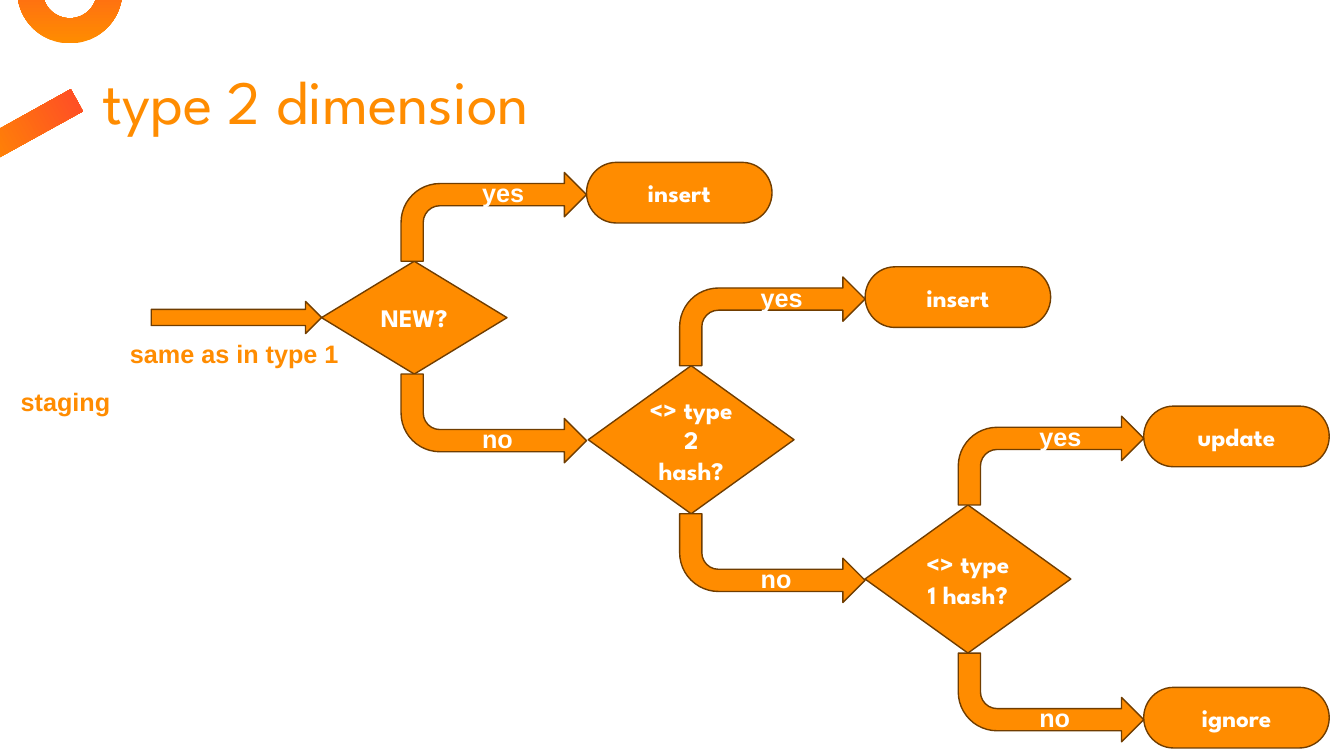
from dataclasses import dataclass
from typing import Optional

from pptx import Presentation
from pptx.dml.color import RGBColor
from pptx.enum.shapes import MSO_SHAPE
from pptx.enum.text import MSO_ANCHOR, PP_ALIGN
from pptx.util import Pt

COLORS = {"orange": "FF8C00", "red": "FF4B28", "brown": "703D00", "white": "FFFFFF"}
HEADING_FONT, LABEL_FONT = "League Spartan", "Arial"
STEP_W = 132.5  # shared width of branch arrows and outcomes
BRANCH_H, OUTCOME_H = 63.4, 43.3


@dataclass
class Box:
    left: float
    top: float
    width: float
    height: float

    def lengths(self):
        return Pt(self.left), Pt(self.top), Pt(self.width), Pt(self.height)


@dataclass
class Decision:
    question: str
    box: Box
    branch_left: float
    yes: str
    no: Optional[str] = None


def color(name: str) -> RGBColor:
    return RGBColor.from_string(COLORS[name])


def style_text(paragraph, font: str, size: float, tint: str, bold: bool = True) -> None:
    paragraph.font.name = font
    paragraph.font.size = Pt(size)
    paragraph.font.bold = bold
    paragraph.font.color.rgb = color(tint)


def add_step(slide, preset, box: Box, text: str = ""):
    step = slide.shapes.add_shape(preset, *box.lengths())
    step.shadow.inherit = False
    step.fill.solid()
    step.fill.fore_color.rgb = color("orange")
    step.line.color.rgb = color("brown")
    step.line.width = Pt(1)
    if text:
        step.text_frame.text = text
        step.text_frame.vertical_anchor = MSO_ANCHOR.MIDDLE
        paragraph = step.text_frame.paragraphs[0]
        paragraph.alignment = PP_ALIGN.CENTER
        style_text(paragraph, HEADING_FONT, 18, "white")
    return step


def add_ornament(slide, preset, box: Box):
    ornament = slide.shapes.add_shape(preset, *box.lengths())
    ornament.shadow.inherit = False
    ornament.line.fill.background()
    ornament.fill.gradient()
    ornament.fill.gradient_angle = 90
    for stop, tint in zip(ornament.fill.gradient_stops, ("orange", "red")):
        stop.color.rgb = color(tint)
    return ornament


def add_label(slide, text: str, box: Box, tint: str, font: str = LABEL_FONT,
              size: float = 18, bold: bool = True):
    frame = slide.shapes.add_textbox(*box.lengths()).text_frame
    frame.word_wrap = True
    frame.text = text
    style_text(frame.paragraphs[0], font, size, tint, bold)
    return frame


def add_outcome(slide, text: str, left: float, top: float) -> None:
    add_step(slide, MSO_SHAPE.FLOWCHART_TERMINATOR, Box(left, top, STEP_W, OUTCOME_H), text)


def add_branch(slide, answer: str, left: float, top: float, downward: bool) -> None:
    arrow = add_step(slide, MSO_SHAPE.BENT_ARROW, Box(left, top, STEP_W, BRANCH_H))
    if downward:
        arrow._element.spPr.xfrm.set("flipV", "1")
    label_top = top + (31.7 if downward else 0)
    add_label(slide, answer, Box(left + 50.8, label_top, 49, 29), "white")


def add_decision(slide, decision: Decision) -> None:
    box = decision.box
    yes_top, no_top = box.top - BRANCH_H, box.top + box.height
    outcome_left = decision.branch_left + STEP_W
    add_step(slide, MSO_SHAPE.DIAMOND, box, decision.question)
    add_branch(slide, "yes", decision.branch_left, yes_top, downward=False)
    add_outcome(slide, decision.yes, outcome_left, yes_top - 7.2)
    add_branch(slide, "no", decision.branch_left, no_top, downward=True)
    if decision.no:
        add_outcome(slide, decision.no, outcome_left, no_top + 24.5)


DECISIONS = [
    Decision("NEW?", Box(229.7, 186.6, STEP_W, 80.6), 286.5, "insert"),
    Decision("<> type 2 hash?", Box(420.2, 261.2, 147, 105.8), 485.5, "insert"),
    Decision("<> type 1 hash?", Box(617.9, 360.7, 147, 105.8), 684.5, "update", "ignore"),
]


def main() -> None:
    deck = Presentation()
    deck.slide_width, deck.slide_height = Pt(960), Pt(540)
    slide = deck.slides.add_slide(deck.slide_layouts[6])

    # Corner ornaments
    ring = add_ornament(slide, MSO_SHAPE.DONUT, Box(12.4, -44, 75, 75))
    ring.adjustments[0] = 0.24
    bar = add_ornament(slide, MSO_SHAPE.RECTANGLE, Box(12.2, 51.8, 18, 77))
    bar.rotation = 61

    # Title
    title = add_label(slide, "type 2 dimension", Box(66, 38.2, 828, 63.4), "orange",
                      HEADING_FONT, 44, bold=False)
    title.vertical_anchor = MSO_ANCHOR.BOTTOM
    title.paragraphs[0].line_spacing = 0.9

    # Incoming data
    add_step(slide, MSO_SHAPE.RIGHT_ARROW, Box(108, 215.3, 121.7, 23))
    add_label(slide, "staging", Box(7.7, 272.2, 80, 29), "orange")
    add_label(slide, "same as in type 1", Box(85.7, 238.2, 168, 29), "orange")

    # Decision cascade
    for decision in DECISIONS:
        add_decision(slide, decision)

    deck.save("out.pptx")


if __name__ == "__main__":
    main()
